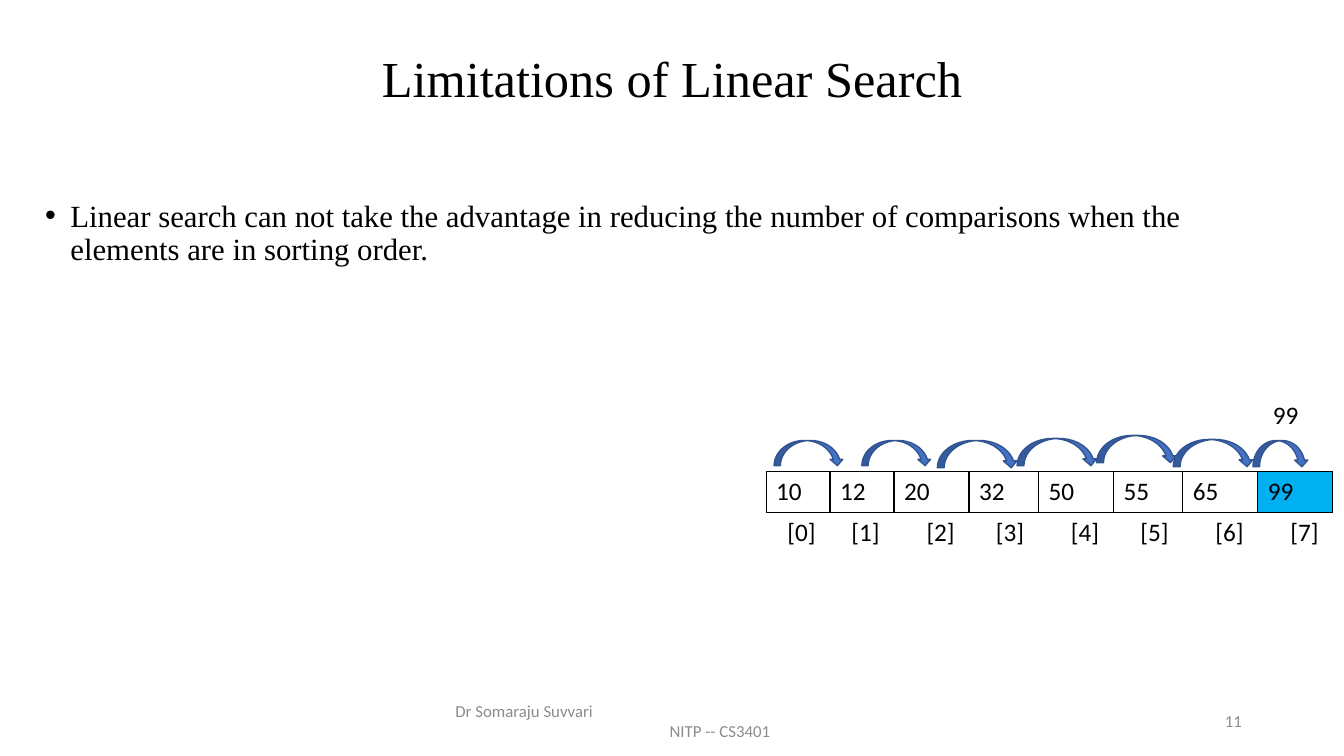
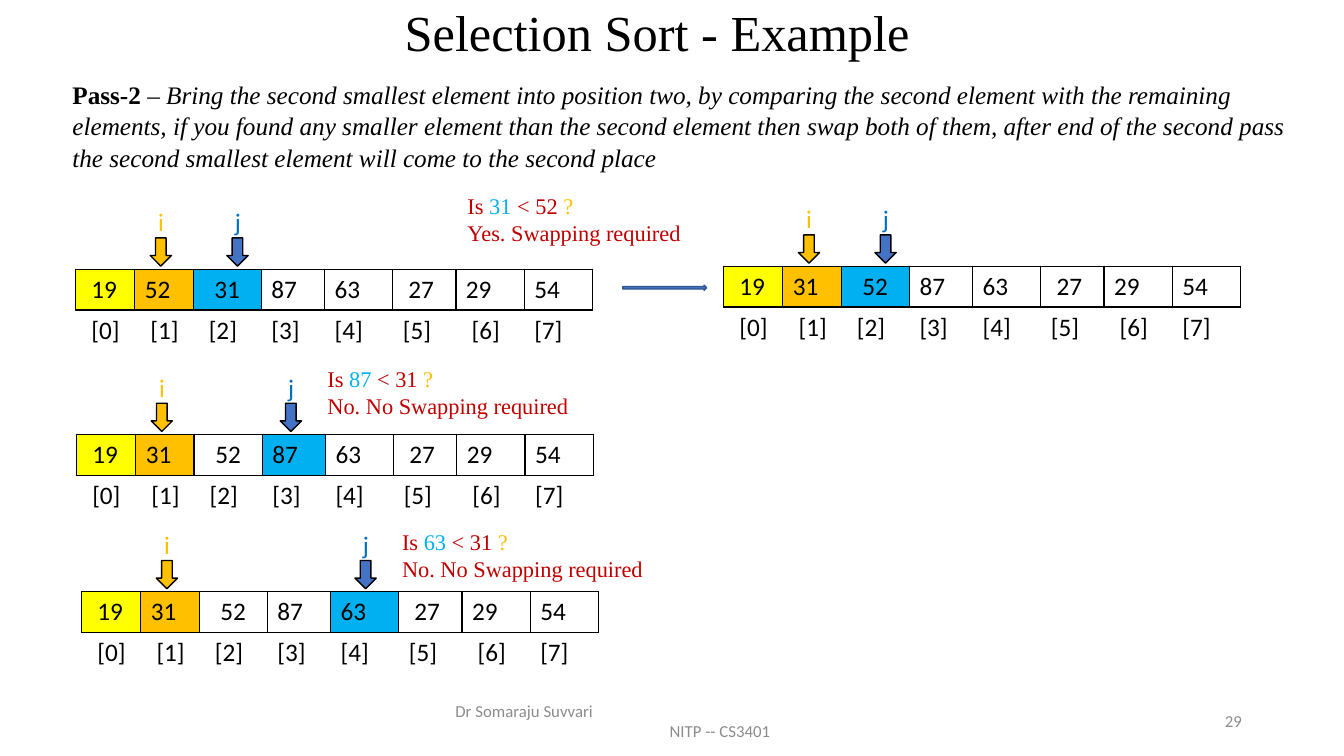
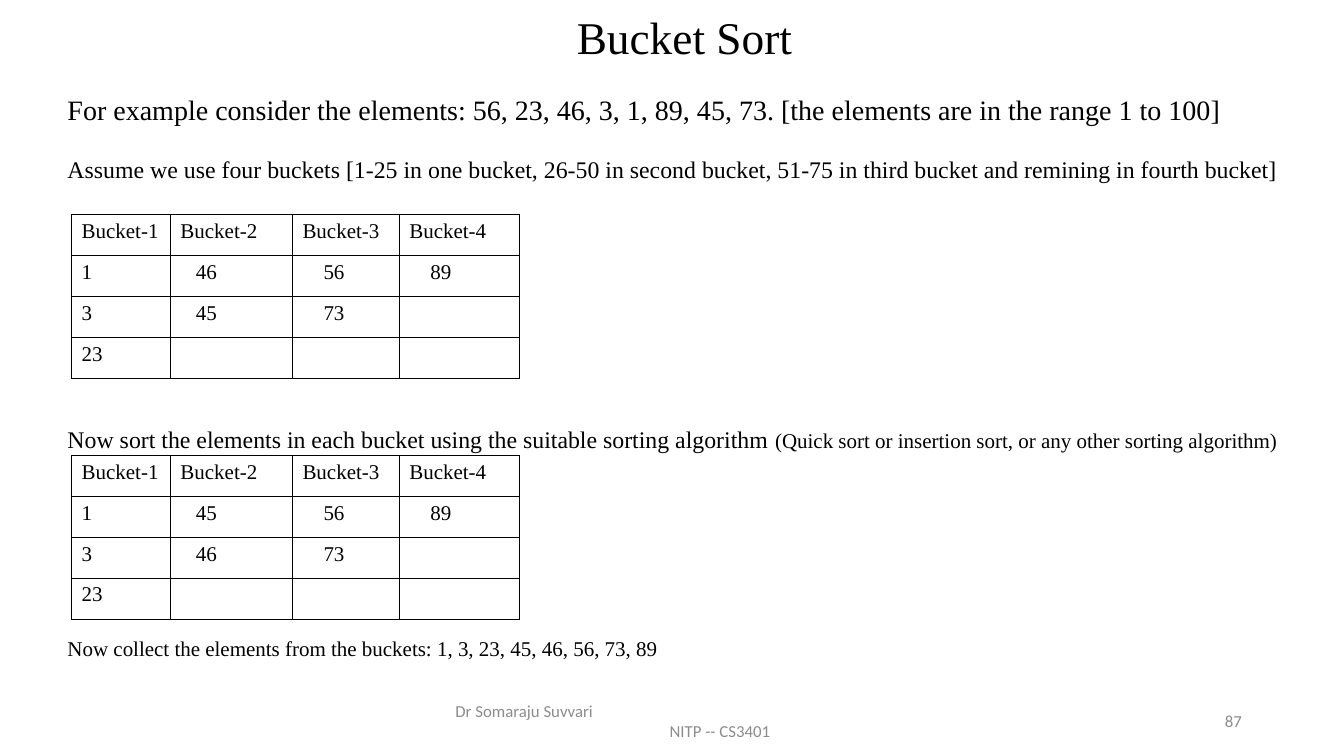
from lxml.etree import SubElement
from pptx import Presentation
from pptx.dml.color import RGBColor
from pptx.enum.shapes import MSO_SHAPE
from pptx.enum.text import MSO_ANCHOR, PP_ALIGN
from pptx.oxml.ns import qn
from pptx.util import Emu, Inches, Pt

rgb = RGBColor.from_string
BLACK, WHITE, GREY, RED = "000000", "FFFFFF", "8C8C8C", "C00000"
YELLOW, ORANGE, SKY, BLUE = "FFFF00", "FFC000", "00B0F0", "4472C4"
NAVY, AZURE = "325491", "0070C0"
SERIF, SANS = "Times New Roman", "Calibri"
NO_STYLE = "{2D5ABB26-0587-4C30-8999-92F81FD0307C}"

prs = Presentation()
prs.slide_width, prs.slide_height = Inches(13.333), Inches(7.5)
X, Y = prs.slide_width / 100, prs.slide_height / 100


def write(tf, paras, size, name=SANS, color=BLACK, lefts=(), bullet=None, **fmt):
    for i, runs in enumerate(paras):
        p = tf.add_paragraph() if i else tf.paragraphs[0]
        pPr = p._p.get_or_add_pPr()
        if lefts:
            pPr.set("marL", str(Pt(lefts[i])))
        if bullet:
            pPr.set("indent", str(-Pt(lefts[i])))
            SubElement(pPr, qn("a:buFont")).set("typeface", "Arial")
            SubElement(pPr, qn("a:buChar")).set("char", bullet)
        for key, value in fmt.items():
            setattr(p, key, value)
        for text, own in [(runs, {})] if isinstance(runs, str) else runs:
            r = p.add_run()
            r.text = text
            look = {"size": Pt(size), "name": name, "color": color, **own}
            r.font.color.rgb = rgb(look.pop("color"))
            for key, value in look.items():
                setattr(r.font, key, value)


def put(s, at, paras=(), kind=None, fill=None, line=None, anchor=MSO_ANCHOR.TOP, **fmt):
    x, y, w, h = at
    place = Emu(int(x * X)), Emu(int(y * Y)), Emu(int(w * X)), Emu(int(h * Y))
    if kind:
        sp = s.shapes.add_shape(kind, *place)
        sp.shadow.inherit = False
        sp.fill.solid()
        sp.fill.fore_color.rgb = rgb(fill)
        sp.line.color.rgb = rgb(line)
        sp.line.width = Pt(1)
    else:
        sp = s.shapes.add_textbox(*place)
        sp.text_frame.word_wrap = True
        sp.text_frame.vertical_anchor = anchor
        write(sp.text_frame, paras, **fmt)


MID, MIDDLE = PP_ALIGN.CENTER, MSO_ANCHOR.MIDDLE
heads = [
    ("Limitations of Linear Search", (6.9, 5.33, 86.25, 10.8), 36, "11"),
    ("Selection Sort - Example", (16.13, 1.33, 65.55, 6.67), 36, "29"),
    ("Bucket Sort", (4.28, 1.33, 93.3, 7.87), 32.4, "87"),
]
for title, at, size, page in heads:
    s = prs.slides.add_slide(prs.slide_layouts[6])
    put(s, at, [title], anchor=MIDDLE, size=size, name=SERIF, alignment=MID, line_spacing=0.9)
    put(s, (33.15, 92.67, 33.75, 5.33), ["Dr Somaraju Suvvari", "NITP -- CS3401"],
        anchor=MIDDLE, size=12, color=GREY, lefts=(0, 153))
    put(s, (70.65, 92.67, 22.5, 5.33), [page], anchor=MIDDLE, size=12, color=GREY,
        alignment=PP_ALIGN.RIGHT)
search, selection, bucket = prs.slides

index = [f"[{i}]" for i in range(8)]
search_cols = [4.76, 4.76, 5.58, 5.17, 5.58, 5.17, 5.58, 5.58]
sort_cols = [4.4, 4.34, 5.08, 4.7, 5.08, 4.7, 5.08, 5.08]
bucket_cols = [7.35, 9.08, 7.95, 8.93]
search_pads = [[0] * 8, [8, 8, 16, 12, 16, 12, 16, 16]]
sort_pads = [[4, 0, 8, 0, 0, 4, 0, 0], [4, 4, 4, 0, 0, 0, 4, 0]]
bucket_pads = [[0] * 4] + [[0, 11, 15, 15]] * 3
bucket_names = [f"Bucket-{i}" for i in range(1, 5)]

tables = [(search, 57, 62.4, search_cols, search_pads,
           [["10", "12", "20", "32", "50", "55", "65", "99"], index], {7: SKY})]
states = [
    (5.63, 35.6, "52", "31", 2, 11.25),
    (53.85, 35.2, "31", "52", 2, 11.25),
    (5.7, 57.47, "31", "52", 3, 15.15),
    (6.08, 78.27, "31", "52", 4, 20.33),
]
for x, y, second, third, j, j_offset in states:
    values = ["19", second, third, "87", "63", "27", "29", "54"]
    tables.append((selection, x, y, sort_cols, sort_pads, [values, index],
                   {0: YELLOW, 1: ORANGE, j: SKY}))
    for label, dx, w, color, fill in [("i", 5.55, 3.8, ORANGE, ORANGE),
                                      ("j", j_offset, 2.3, AZURE, BLUE)]:
        put(selection, (x + dx, y - 4.13, 1.58, 3.73), kind=MSO_SHAPE.DOWN_ARROW,
            fill=fill, line=BLACK)
        put(selection, (x + dx - 0.15, y - 8.93, w, 5.33), [label], size=18, color=color)
for y, second in [(28.4, ("46", "45")), (60.27, ("45", "46"))]:
    rows = [bucket_names, ["1", second[0], "56", "89"], ["3", second[1], "73", ""],
            ["23", "", "", ""]]
    tables.append((bucket, 5.33, y, bucket_cols, bucket_pads, rows, {}))

for s, x, y, cols, pads, rows, marks in tables:
    frame = s.shapes.add_table(len(rows), len(cols), Emu(int(x * X)), Emu(int(y * Y)),
                               Emu(int(sum(cols) * X)), Emu(int(5.41 * len(rows) * Y)))
    tbl = frame.table
    tbl.first_row = tbl.horz_banding = False
    tbl._tbl.tblPr[0].text = NO_STYLE
    for c, w in enumerate(cols):
        tbl.columns[c].width = Emu(int(w * X))
    for n, texts in enumerate(rows):
        boxed = texts is not index
        tbl.rows[n].height = Emu(int(5.41 * Y))
        for c, text in enumerate(texts):
            cell = tbl.cell(n, c)
            tcPr = cell._tc.get_or_add_tcPr()
            for side in ("lnL", "lnR", "lnT", "lnB") if boxed else ("lnT",):
                ln = SubElement(tcPr, qn(f"a:{side}"), w=str(Pt(1)))
                SubElement(SubElement(ln, qn("a:solidFill")), qn("a:srgbClr"), val=BLACK)
            if boxed:
                cell.fill.solid()
                cell.fill.fore_color.rgb = rgb(marks.get(c, WHITE))
            else:
                cell.fill.background()
            if text:
                size, name = (15, SERIF) if s is bucket else (18, SANS)
                write(cell.text_frame, [text], size, name, lefts=[pads[n][c]])

put(search, (2.63, 25.87, 92.1, 10.8),
    ["Linear search can not take the advantage in reducing the number of comparisons "
     "when the elements are in sorting order."],
    size=22, name=SERIF, lefts=[18], bullet="•", line_spacing=0.9)
put(search, (93.98, 52.13, 5.18, 5.33), ["99"], size=18)
for at in [(57.6, 58.27, 5.18, 3.33), (64.13, 58.27, 5.18, 3.33), (69.75, 58.27, 6, 3.6),
           (75.68, 58, 6, 3.6), (81.6, 57.6, 6, 3.6), (87.3, 58.13, 6, 3.6),
           (93.23, 58.27, 4.13, 3.47)]:
    put(search, at, kind=MSO_SHAPE.CURVED_DOWN_ARROW, fill=BLUE, line=NAVY)

put(selection, (4.65, 9.6, 93.75, 13.47),
    [[("Pass-2 ", {"bold": True}), ("– ", {}),
      ("Bring the second smallest element into position two, by comparing the second element "
       "with the remaining elements, if you found any smaller element than the second element "
       "then swap both of them, after end of the second pass the second smallest element "
       "will come to the second place", {"italic": True})]],
    size=18, name=SERIF, line_spacing=1.05)
put(selection, (46.35, 37.73, 6.23, 0.67), kind=MSO_SHAPE.RIGHT_ARROW, fill=BLUE, line=NAVY)
for x, y, left, right, answer in [(34.05, 24.8, "31", "52", "Yes. Swapping required"),
                                  (23.63, 47.6, "87", "31", "No. No Swapping required"),
                                  (29.18, 69.2, "63", "31", "No. No Swapping required")]:
    question = [("Is", {}), (f" {left} ", {"color": SKY}), (f"< {right} ", {}),
                ("?", {"color": ORANGE})]
    put(selection, (x, y, 22.7, 8.53), [question, answer], size=16, name=SERIF, color=RED)

steps = [
    (14.4, 20, "For example consider the elements: 56, 23, 46, 3, 1, 89, 45, 73. "
     "[the elements are in the range 1 to 100]"),
    (22.4, 17, "Assume we use four buckets [1-25 in one bucket, 26-50 in second bucket, "
     "51-75 in third bucket and remining in fourth bucket]"),
    (58.1, 17, [("Now sort the elements in each bucket using the suitable sorting algorithm ", {}),
                ("(Quick sort or insertion sort, or any other sorting algorithm)",
                 {"size": Pt(15)})]),
    (85.7, 15, "Now collect the elements from the buckets: 1, 3, 23, 45, 46, 56, 73, 89"),
]
for middle, size, text in steps:
    put(bucket, (4.28, middle - 3, 93.3, 6), [text], anchor=MIDDLE, size=size, name=SERIF)

prs.save("out.pptx")
